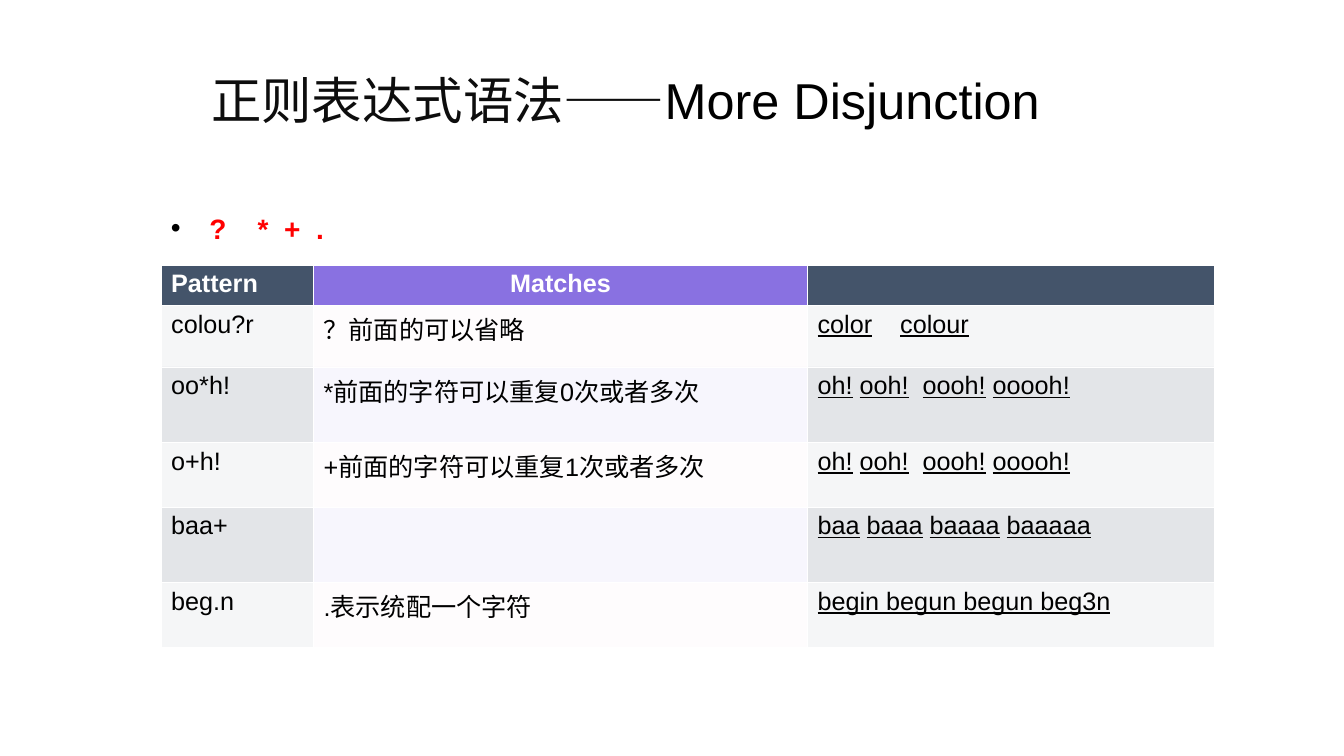
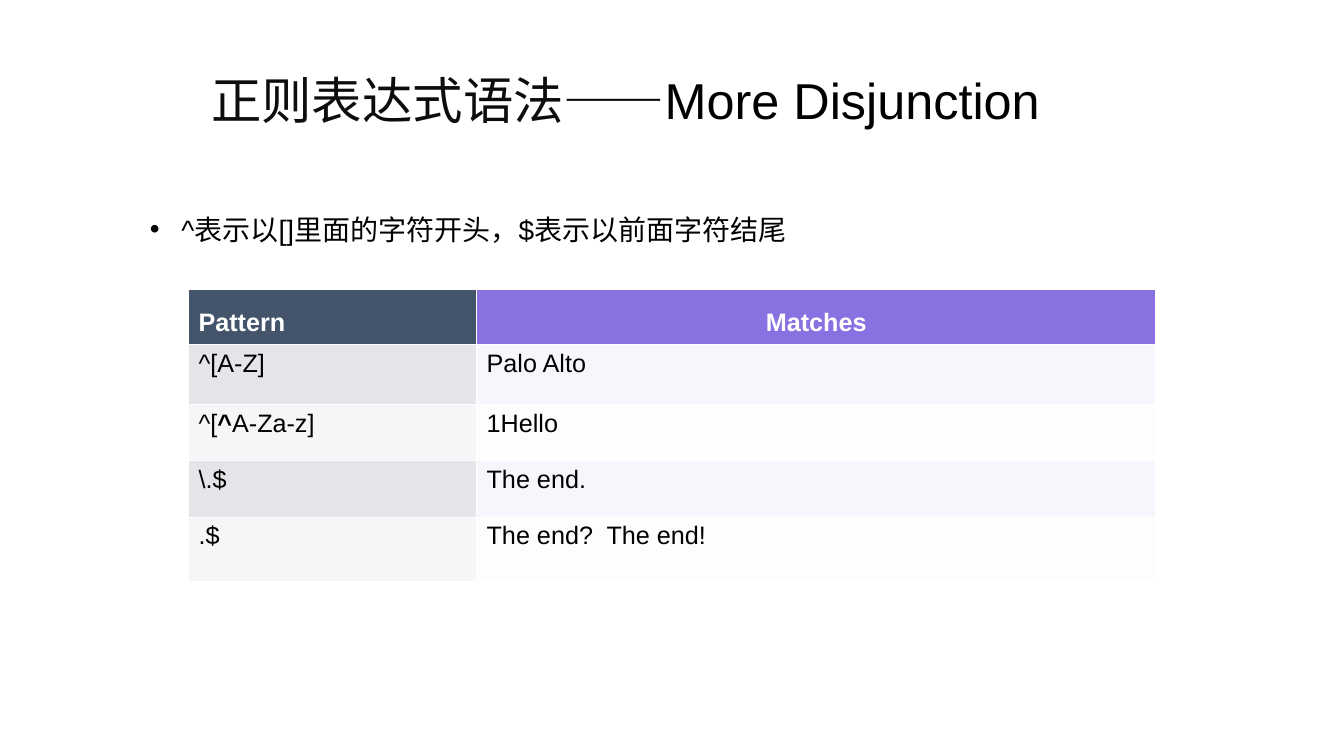
from lxml.etree import SubElement
from pptx import Presentation
from pptx.dml.color import RGBColor
from pptx.enum.text import MSO_ANCHOR as Anchor, MSO_AUTO_SIZE as AutoSize, PP_ALIGN as Align
from pptx.oxml import parse_xml
from pptx.oxml.ns import nsdecls, qn
from pptx.util import Cm, Pt

FONT = "Arial"
COLORS = {
    "title": "0D0D0D", "black": "000000", "white": "FFFFFF", "red": "FF0000",
    "slate": "44546A", "purple": "8971E1", "pink": "F9D5E9", "lilac": "D0C6F3",
}
# Body rows alternate between these: (outer columns, Matches column, opacity in %)
BANDS = {"light": ("slate", "pink", 5), "dark": ("slate", "lilac", 15)}
MATCHES_COLUMN = 1


def color(name):
    return RGBColor.from_string(COLORS[name])


def style_font(font, size, color_name, bold=False):
    font.name = FONT
    font.size = Pt(size)
    font.bold = bold
    font.color.rgb = color(color_name)


def add_span(para, text):
    span = para.add_run()
    span.text = text
    return span


def add_text_box(page, left, top, width, height):
    box = page.shapes.add_textbox(Cm(left), Cm(top), Cm(width), Cm(height))
    box.text_frame.word_wrap = True
    return box.text_frame


# Title shared by the pages
def add_title(page):
    frame = add_text_box(page, 2.34, -0.3, 26.85, 3.68)
    frame.vertical_anchor = Anchor.BOTTOM
    para = frame.paragraphs[0]
    para.alignment = Align.CENTER
    para.line_spacing = 1.3
    style_font(para.font, 36, "title")
    add_span(para, "正则表达式语法——")
    add_span(para, "More Disjunction").font.color.rgb = color("black")


# Single bulleted line above the table
def add_bullet(page, text, left, top, width, indent, color_name="black", bold=False, gap=0):
    frame = add_text_box(page, left, top, width, 1.4)
    frame.auto_size = AutoSize.SHAPE_TO_FIT_TEXT
    para = frame.paragraphs[0]
    para.line_spacing = 1.5
    para.space_before = para.space_after = Pt(gap)
    style_font(para.font, 20, color_name, bold)
    add_span(para, text)

    props = para._p.get_or_add_pPr()
    props.set("marL", str(Cm(indent)))
    props.set("indent", str(-Cm(indent)))
    marks = (
        f'<a:buClr {nsdecls("a")}><a:srgbClr val="{COLORS["black"]}"/></a:buClr>',
        f'<a:buFont {nsdecls("a")} typeface="{FONT}"/>',
        f'<a:buChar {nsdecls("a")} char="•"/>',
    )
    default_font = props.find(qn("a:defRPr"))
    for mark in marks:
        default_font.addprevious(parse_xml(mark))


# Table cells
def fill_cell(cell, color_name, opacity=100):
    cell.fill.solid()
    cell.fill.fore_color.rgb = color(color_name)
    props = cell._tc.get_or_add_tcPr()
    if opacity < 100:
        tone = props.find(qn("a:solidFill")).find(qn("a:srgbClr"))
        SubElement(tone, qn("a:alpha")).set("val", str(opacity * 1000))
    for index, side in enumerate("LRTB"):
        props.insert(index, parse_xml(
            f'<a:ln{side} {nsdecls("a")} w="{Pt(0.75)}"><a:solidFill>'
            f'<a:srgbClr val="{COLORS["white"]}"/></a:solidFill></a:ln{side}>'))


def write_cell(cell, content, color_name, bold=False):
    """Write a string, or a list of (text, mark) with mark "u", "b" or None."""
    para = cell.text_frame.paragraphs[0]
    style_font(para.font, 18, color_name, bold)
    spans = [(content, None)] if isinstance(content, str) else content
    for text, mark in spans:
        if text:
            span = add_span(para, text)
            if mark == "u":
                span.font.underline = True
            elif mark == "b":
                span.font.bold = True
    return para


def underlined(*texts):
    """Underline every other text, leaving the gaps between them plain."""
    return [(text, None if index % 2 else "u") for index, text in enumerate(texts)]


def add_pattern_table(page, left, top, widths, heights, rows, bands, header_spacing=1.0):
    frame = page.shapes.add_table(len(heights), len(widths), Cm(left), Cm(top),
                                  Cm(sum(widths)), Cm(sum(heights)))
    table = frame.table
    table.first_row = table.horz_banding = False
    for column, width in zip(table.columns, widths):
        column.width = Cm(width)
    for row, height in zip(table.rows, heights):
        row.height = Cm(height)

    headings = ("Pattern", "Matches", "")[:len(widths)]
    for index, heading in enumerate(headings):
        is_matches = index == MATCHES_COLUMN
        cell = table.cell(0, index)
        fill_cell(cell, "purple" if is_matches else "slate")
        para = write_cell(cell, heading, "white", bold=True)
        para.line_spacing = header_spacing
        if is_matches:
            para.alignment = Align.CENTER

    for row_index, contents in enumerate(rows, start=1):
        outer, matches, opacity = BANDS[bands[(row_index - 1) % 2]]
        for index, content in enumerate(contents):
            cell = table.cell(row_index, index)
            fill_cell(cell, matches if index == MATCHES_COLUMN else outer, opacity)
            write_cell(cell, content, "black")


# Pages
def add_page(deck):
    page = deck.slides.add_slide(deck.slide_layouts[6])
    add_title(page)
    return page


def add_repetition_page(deck):
    page = add_page(deck)
    add_bullet(page, "?    *  +  .", 4.06, 4.78, 21.18, 0.97, "red", bold=True, gap=6)
    oohs = underlined("oh!", " ", "ooh!", "  ", "oooh!", " ", "ooooh!")
    rows = [
        ("colou?r", "？前面的可以省略", underlined("color", "    ", "colour")),
        ("oo*h!", "*前面的字符可以重复0次或者多次", oohs),
        ("o+h!", "+前面的字符可以重复1次或者多次", oohs),
        ("baa+", "", underlined("baa", " ", "baaa", " ", "baaaa", " ", "baaaaa")),
        ("beg.n", ".表示统配一个字符", underlined("begin begun begun beg3n")),
    ]
    add_pattern_table(page, 4.06, 6.68, (3.84, 12.45, 10.26),
                      (1, 1.55, 1.9, 1.63, 1.9, 1.63), rows, ("light", "dark"))


def add_anchor_page(deck):
    page = add_page(deck)
    add_bullet(page, "^表示以[]里面的字符开头，$表示以前面字符结尾", 3.53, 4.8, 22.99, 0.79)
    rows = [
        ("^[A-Z]", "Palo Alto"),
        ([("^[", None), ("^", "b"), ("A-Za-z]", None)], "1Hello"),
        ("\\.$", "The end."),
        (".$", "The end?  The end!"),
    ]
    add_pattern_table(page, 4.75, 7.29, (7.26, 17.12), (1.37, 1.5, 1.42, 1.42, 1.63),
                      rows, ("dark", "light"), header_spacing=1.5)


def main():
    deck = Presentation()
    deck.slide_width, deck.slide_height = Cm(33.87), Cm(19.05)
    add_repetition_page(deck)
    add_anchor_page(deck)
    deck.save("out.pptx")


if __name__ == "__main__":
    main()
